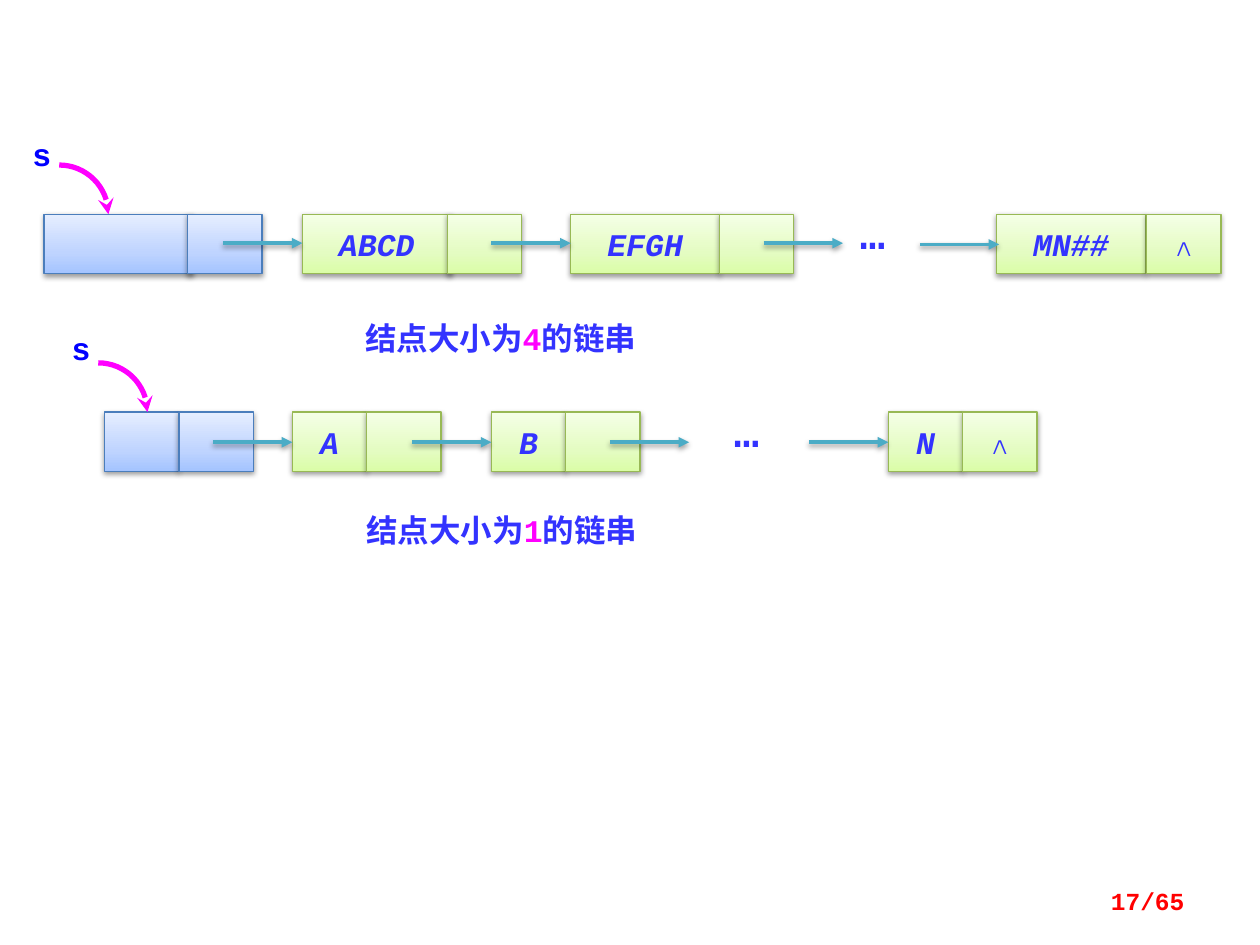
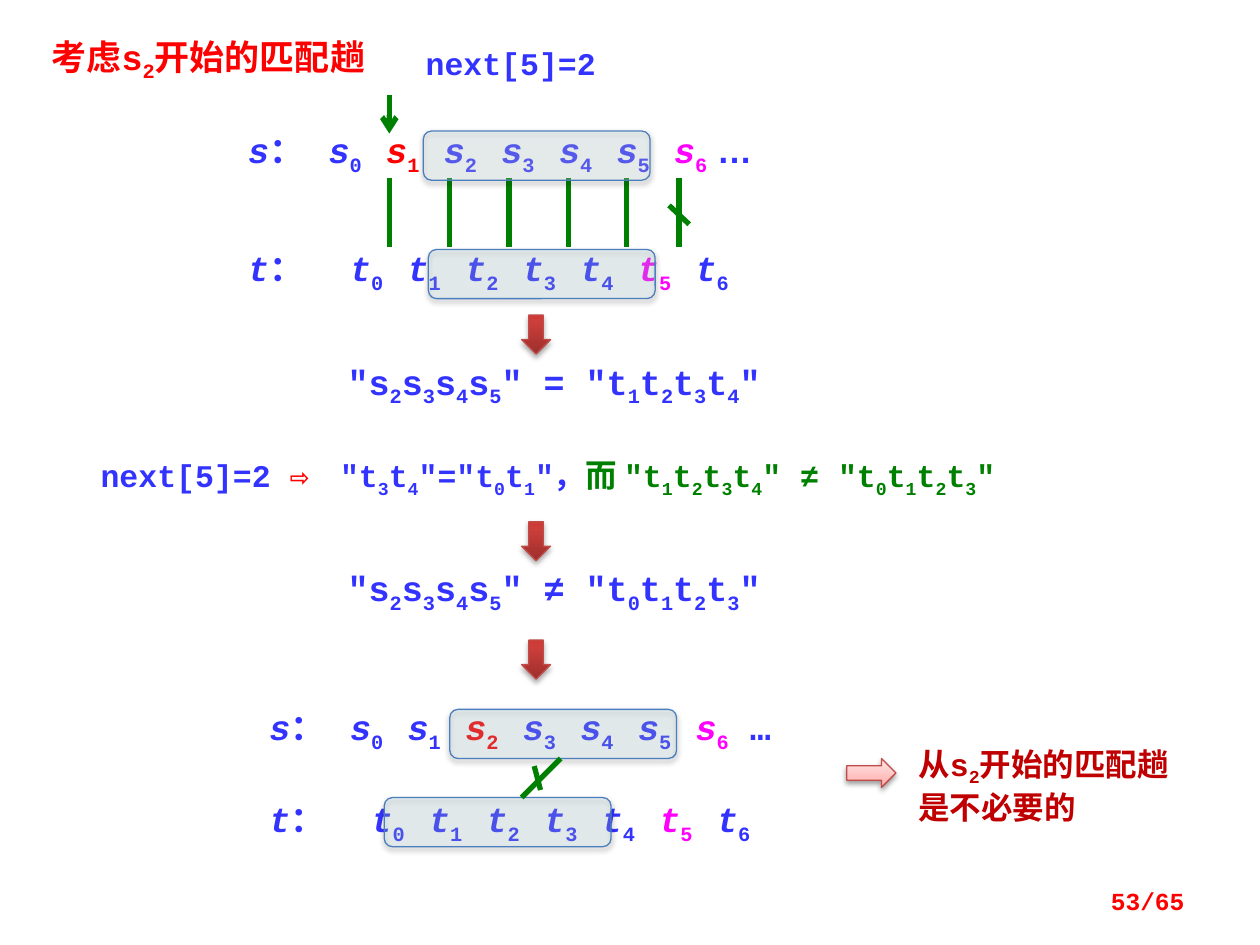
import math
from dataclasses import dataclass
from typing import NamedTuple

import pptx
import pptx.dml.color
import pptx.enum.shapes
import pptx.enum.text
import pptx.oxml.ns
import pptx.util
from lxml import etree

Inches, Pt, qn = pptx.util.Inches, pptx.util.Pt, pptx.oxml.ns.qn
SHAPE = pptx.enum.shapes.MSO_SHAPE
ALIGN = pptx.enum.text.PP_ALIGN
ANCHOR = pptx.enum.text.MSO_ANCHOR

# Shared look
FONT = "Courier New"
INDIGO, BLUE, RED, DARK_RED = "3333FF", "0000FF", "FF0000", "C00000"
MAGENTA, GREEN, TEAL = "FF00FF", "008000", "4BACC6"
HIGHLIGHT_LINE = "4B7EBC"
CELL_W, CELL_H = 0.59, 0.47
LINK_W = 0.63


class Box(NamedTuple):
    left: float
    top: float
    width: float
    height: float


class Span(NamedTuple):
    """Text with its own format; "_2" is a subscript digit."""
    text: str
    color: str | None = None
    italic: bool | None = None
    font: str | None = None


class Shadow(NamedTuple):
    opacity: int = 38
    distance: float = 1.6


class Palette(NamedTuple):
    stops: tuple[tuple[int, str], ...]
    line: str
    shadow: Shadow = Shadow()


BLUE_CELL = Palette(((0, "A4C4FF"), (35, "BFD4FF"), (100, "E6EEFF")), HIGHLIGHT_LINE)
GREEN_CELL = Palette(((0, "DAFDA7"), (35, "E4FCC2"), (100, "F5FFE7")), "98B955")
RED_ARROW = Palette(((0, "9C2F2D"), (80, "CB3E3A"), (100, "CE3B37")), "BF4C48", Shadow(35, 1.8))
PINK_ARROW = Palette(((0, "FFA6A5"), (35, "FFC0BF"), (100, "FFE7E7")), "BF4C48")


@dataclass
class Node:
    left: float
    pointer_left: float
    width: float
    data: str = ""
    pointer: str = ""
    palette: Palette = GREEN_CELL


@dataclass
class LinkedString:
    name_at: tuple[float, float]
    top: float
    nodes: list[Node]
    links: list[tuple[float, float]]
    dots: Box
    caption: Box
    node_size: str


def rgb(value: str):
    return pptx.dml.color.RGBColor.from_string(value)


def inches(values):
    return [Inches(v) for v in values]


def write(tf, text, size=18, color=INDIGO, bold=True, italic=False,
          align=ALIGN.LEFT, anchor=ANCHOR.TOP, wrap=True, spacing=None, tabs=()):
    """Fill a text frame from a string or a list of spans."""
    tf.word_wrap, tf.vertical_anchor = wrap, anchor
    p = tf.paragraphs[0]
    p.alignment = align
    if spacing:
        p.line_spacing = Pt(spacing)
    if tabs:
        tab_list = etree.SubElement(p._p.get_or_add_pPr(), qn("a:tabLst"))
        for stop in tabs:
            etree.SubElement(tab_list, qn("a:tab"), pos=str(Inches(stop)), algn="l")
    for span in [Span(text)] if isinstance(text, str) else text:
        head, *rest = span.text.split("_")
        pieces = [(head, False)]
        for part in rest:
            pieces += [(part[0], True), (part[1:], False)]
        for piece, subscript in pieces:
            if not piece:
                continue
            r = p.add_run()
            r.text = piece
            font = r.font
            font.name, font.size, font.bold = span.font or FONT, Pt(size), bold
            slanted = italic if span.italic is None else span.italic
            font.italic = slanted and not subscript
            font.color.rgb = rgb(span.color or color)
            if subscript:
                r._r.get_or_add_rPr().set("baseline", "-25000")


def add_text(s, box: Box, text, **style):
    write(s.shapes.add_textbox(*inches(box)).text_frame, text, **style)


def add_shadow(sp, shadow: Shadow | None):
    """Give a finished shape or line this shadow, or none at all."""
    effects = etree.SubElement(sp._element.spPr, qn("a:effectLst"))
    if shadow:
        outer = etree.SubElement(effects, qn("a:outerShdw"), blurRad=str(Pt(3.1)),
                                 dist=str(Pt(shadow.distance)), dir="5400000",
                                 rotWithShape="0")
        color = etree.SubElement(outer, qn("a:srgbClr"), val="000000")
        etree.SubElement(color, qn("a:alpha"), val=str(shadow.opacity * 1000))


def set_line(sp, color: str, width: float, arrowhead: str | None = None):
    sp.line.color.rgb = rgb(color)
    sp.line.width = Pt(width)
    if arrowhead:
        ln = sp._element.spPr.find(qn("a:ln"))
        etree.SubElement(ln, qn("a:tailEnd"), type=arrowhead)


def add_gradient_shape(s, kind, box: Box, palette: Palette):
    sp = s.shapes.add_shape(kind, *inches(box))
    sp.fill.gradient()
    sp.fill.gradient_angle = 90
    stops = sp._element.spPr.find(".//" + qn("a:gsLst"))
    for old in list(stops):
        stops.remove(old)
    for pos, color in palette.stops:
        stop = etree.SubElement(stops, qn("a:gs"), pos=str(pos * 1000))
        etree.SubElement(stop, qn("a:srgbClr"), val=color)
    set_line(sp, palette.line, 0.75)
    add_shadow(sp, palette.shadow)
    return sp


def add_line(s, x1: float, y1: float, x2: float, y2: float, color=GREEN, width=3.0,
             arrowhead: str | None = None, shadow: Shadow | None = None):
    line = s.shapes.add_connector(pptx.enum.shapes.MSO_CONNECTOR.STRAIGHT,
                                  *inches((x1, y1, x2, y2)))
    set_line(line, color, width, arrowhead)
    add_shadow(line, shadow)


def add_highlight(s, left: float, top: float, color="B7DEE8", opacity=20):
    """Translucent frame around four characters."""
    sp = s.shapes.add_shape(SHAPE.ROUNDED_RECTANGLE, *inches((left, top, 1.8, 0.39)))
    sp.fill.solid()
    sp.fill.fore_color.rgb = rgb(color)
    fill_color = sp._element.spPr.find(qn("a:solidFill"))[0]
    etree.SubElement(fill_color, qn("a:alpha"), val=str(opacity * 1000))
    set_line(sp, HIGHLIGHT_LINE, 0.75)
    add_shadow(sp, Shadow())


def add_head_curve(s, left: float, bottom: float, radius=0.39, steps=16):
    """Quarter circle that points down at the head node."""
    angles = [math.pi / 2 * i / steps for i in range(steps + 1)]
    points = [inches((left + radius * math.sin(a), bottom - radius * math.cos(a)))
              for a in angles]
    builder = s.shapes.build_freeform(*points[0])
    builder.add_line_segments(points[1:], close=False)
    sp = builder.convert_to_shape()
    sp.fill.background()
    set_line(sp, MAGENTA, 3, "stealth")
    add_shadow(sp, None)


def add_cell(s, box: Box, label: str, palette: Palette, italic: bool):
    sp = add_gradient_shape(s, SHAPE.RECTANGLE, box, palette)
    if label:
        write(sp.text_frame, label, italic=italic, align=ALIGN.CENTER,
              anchor=ANCHOR.MIDDLE, wrap=False)


def add_linked_string(s, chain: LinkedString):
    add_text(s, chain.caption, [Span("结点大小为"), Span(chain.node_size, MAGENTA), Span("的链串")])
    for node in chain.nodes:
        add_cell(s, Box(node.left, chain.top, node.width, CELL_H), node.data, node.palette, True)
        add_cell(s, Box(node.pointer_left, chain.top, CELL_W, CELL_H), node.pointer,
                 node.palette, False)
    add_text(s, chain.dots, "…", size=24, align=ALIGN.CENTER)
    name_left, name_top = chain.name_at
    add_text(s, Box(name_left, name_top, 0.47, 0.4), "s", color=BLUE)
    add_head_curve(s, name_left + 0.31, chain.top)
    for x, y in chain.links:
        add_line(s, x, y, x + LINK_W, y, TEAL, 2, "triangle", Shadow())


def add_char_row(s, left: float, top: float, name: str, first_tab: float,
                 colors: dict[int, str], end: tuple[Span, ...] = ()):
    """One string written as seven indexed characters at equal steps."""
    chars = [Span(f"\t{name}_{i}", colors.get(i)) for i in range(7)]
    add_text(s, Box(left, top, 4.69, 0.44),
             [Span(name), Span("：", italic=False), *chars, *end], size=20, italic=True,
             tabs=[first_tab + 0.457 * i for i in range(7)])


def add_conclusion(s, arrow_top: float, text: str):
    """Down arrow with the relation below it."""
    add_gradient_shape(s, SHAPE.DOWN_ARROW, Box(4.14, arrow_top, 0.23, 0.31), RED_ARROW)
    if text:
        add_text(s, Box(2.66, arrow_top + 0.31, 3.75, 0.44), text, size=20)


def add_page(prs, number: int):
    s = prs.slides.add_slide(prs.slide_layouts[6])
    add_text(s, Box(7.17, 6.95, 2.33, 0.4), f"{number}/65", size=14, color=RED,
             align=ALIGN.RIGHT, anchor=ANCHOR.MIDDLE)
    return s


def build_linked_strings(prs):
    s = add_page(prs, 17)
    wide = 2 * CELL_W
    add_linked_string(s, LinkedString(
        (0.47, 2.56), 3.27,
        [Node(0.83, 1.42, CELL_W, palette=BLUE_CELL), Node(2.32, 2.91, CELL_W, "A"),
         Node(3.9, 4.49, CELL_W, "B"), Node(7.05, 7.64, CELL_W, "N", "∧")],
        [(x, 3.51) for x in (1.69, 3.27, 4.84, 6.42)],
        Box(5.61, 3.17, 0.63, 0.5), Box(2.81, 4.01, 2.83, 0.4), "1"))
    add_linked_string(s, LinkedString(
        (0.16, 1.02), 1.7,
        [Node(0.35, 1.49, wide, palette=BLUE_CELL), Node(2.4, 3.55, wide, "ABCD"),
         Node(4.53, 5.71, wide, "EFGH"), Node(7.91, 9.1, wide, "MN##", "∧")],
        [(1.77, 1.93), (3.9, 1.93), (6.06, 1.93), (7.3, 1.94)],
        Box(6.57, 1.6, 0.71, 0.5), Box(2.8, 2.48, 3.23, 0.4), "4"))


def build_matching(prs):
    s = add_page(prs, 53)
    add_text(s, Box(0.31, 0.23, 2.97, 0.44), "考虑s_2开始的匹配趟", size=20, color=RED)
    add_text(s, Box(3.28, 0.3, 1.64, 0.4), "next[5]=2")

    # Match that starts at s1 and fails at s6
    add_char_row(s, 1.87, 0.97, "s", 0.64, {1: RED, 6: MAGENTA},
                 (Span(" …", italic=False, font="Arial"),))
    add_char_row(s, 1.87, 1.91, "t", 0.81, {5: MAGENTA})
    for x in (3.09, 3.57, 4.04, 4.51, 4.97, 5.39):
        add_line(s, x, 1.41, x, 1.96)
    add_line(s, 5.31, 1.63, 5.47, 1.78)
    add_line(s, 3.09, 0.75, 3.09, 1.06, arrowhead="arrow")
    add_highlight(s, 3.36, 1.04, "DBEEF4", 23)
    add_highlight(s, 3.4, 1.98)

    # Chain of reasoning
    add_conclusion(s, 2.5, '"s_2s_3s_4s_5" = "t_1t_2t_3t_4"')
    add_text(s, Box(0.7, 3.52, 7.34, 0.46), [
        Span("next[5]=2 "), Span("⇨", RED), Span(' "t_3t_4"="t_0t_1"，'),
        Span('而 "t_1t_2t_3t_4" ≠ "t_0t_1t_2t_3"', GREEN)], spacing=28)
    add_conclusion(s, 4.14, '"s_2s_3s_4s_5" ≠ "t_0t_1t_2t_3"')
    add_conclusion(s, 5.08, "")

    # Match that would start at s2
    add_char_row(s, 2.04, 5.55, "s", 0.64, {2: RED, 6: MAGENTA},
                 (Span(" …", italic=False),))
    add_char_row(s, 2.04, 6.28, "t", 0.81, {5: MAGENTA})
    add_highlight(s, 3.57, 5.63)
    add_highlight(s, 3.05, 6.33)
    add_line(s, 4.45, 6.02, 4.14, 6.33)
    add_line(s, 4.24, 6.08, 4.29, 6.27)
    add_gradient_shape(s, SHAPE.RIGHT_ARROW, Box(6.72, 6.02, 0.39, 0.23), PINK_ARROW)
    add_text(s, Box(7.19, 5.86, 2.42, 0.71), "从s_2开始的匹配趟是不必要的", color=DARK_RED)


def main():
    prs = pptx.Presentation()
    prs.slide_width, prs.slide_height = Inches(10), Inches(7.5)
    build_linked_strings(prs)
    build_matching(prs)
    prs.save("out.pptx")


if __name__ == "__main__":
    main()
